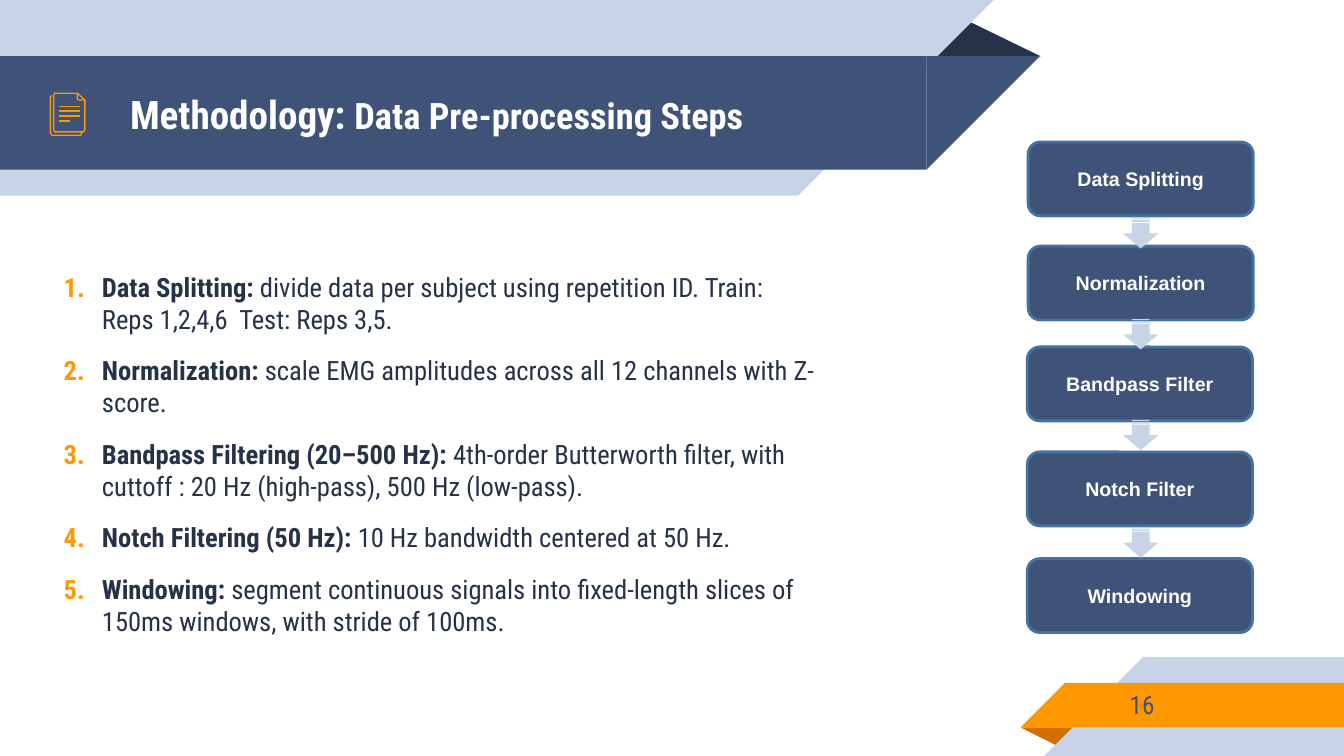
from lxml.etree import SubElement
from pptx import Presentation
from pptx.dml.color import RGBColor
from pptx.enum.shapes import MSO_CONNECTOR, MSO_SHAPE as Shape
from pptx.enum.text import MSO_ANCHOR as Anchor, PP_ALIGN as Align
from pptx.oxml.ns import qn
from pptx.util import Inches, Pt

COLUMNS, ROWS = 160, 90
COLORS = {
    "navy": "3F5378", "ink": "263248", "mist": "C7D3E6", "orange": "FF9800",
    "rust": "D26F00", "edge": "43739E", "white": "FFFFFF",
}


def cells(*counts):
    """Lengths of grid cells; 160 x 90 cells fill the slide."""
    return [Inches(count / 12) for count in counts]


class Deck:
    font = "Roboto Condensed"

    def __init__(self):
        self.deck = Presentation()
        self.deck.slide_width, self.deck.slide_height = cells(COLUMNS, ROWS)
        self.slide = self.deck.slides.add_slide(self.deck.slide_layouts[6])
        self.shapes = self.slide.shapes

    def color(self, name):
        return RGBColor.from_string(COLORS[name])

    def style(self, font, size, color, bold=None, name=None):
        font.name, font.size, font.bold = name or self.font, Pt(size), bold
        font.color.rgb = self.color(color)

    def shape(self, kind, frame, fill, turn=0, edge=None):
        shape = self.shapes.add_shape(kind, *cells(*frame))
        shape.shadow.inherit = False
        shape.rotation = turn
        shape.fill.solid()
        shape.fill.fore_color.rgb = self.color(fill)
        if edge:
            shape.line.color.rgb = self.color(edge)
            shape.line.width = Pt(2)
        else:
            shape.line.fill.background()
        return shape

    def band(self, left, top, width, height, fill, slant_left=False):
        """A bar whose slanted end is a square right triangle."""
        self.shape(Shape.RECTANGLE, (left, top, width, height), fill)
        tip = left - height if slant_left else left + width
        self.shape(Shape.RIGHT_TRIANGLE, (tip, top, height, height), fill,
                   turn=270 if slant_left else 90)

    def fold(self, frame, fill, turn=0):
        self.shape(Shape.ISOSCELES_TRIANGLE, frame, fill, turn).adjustments[0] = 0.324

    def text(self, frame, anchor=Anchor.MIDDLE):
        text_frame = self.shapes.add_textbox(*cells(*frame)).text_frame
        text_frame.word_wrap = True
        text_frame.vertical_anchor = anchor
        text_frame.margin_left = text_frame.margin_right = Inches(0.1)
        text_frame.margin_top = text_frame.margin_bottom = Inches(0.1)
        return text_frame

    def run(self, paragraph, words, size, color, bold=None):
        run = paragraph.add_run()
        run.text = words
        self.style(run.font, size, color, bold)

    def numbered(self, frame, items):
        text_frame = self.text(frame)
        for index, (term, detail) in enumerate(items):
            paragraph = text_frame.add_paragraph() if index else text_frame.paragraphs[0]
            paragraph.space_after = Pt(14)
            props = paragraph._p.get_or_add_pPr()
            props.set("marL", str(Inches(0.38)))
            props.set("indent", str(Inches(-0.38)))
            number_color = SubElement(props, qn("a:buClr"))
            SubElement(number_color, qn("a:srgbClr"), val=COLORS["orange"])
            SubElement(props, qn("a:buAutoNum"), type="arabicPeriod")
            self.run(paragraph, f"{term}: ", 19, "ink", True)
            self.run(paragraph, detail, 19, "ink", False)

    def step(self, frame, label):
        text_frame = self.shape(Shape.ROUNDED_RECTANGLE, frame, "navy", edge="edge").text_frame
        text_frame.vertical_anchor = Anchor.MIDDLE
        paragraph = text_frame.paragraphs[0]
        paragraph.text = label
        paragraph.alignment = Align.CENTER
        self.style(paragraph.font, 14, "white", True, "Arial")

    def pen(self, line):
        line.color.rgb = self.color("orange")
        line.width = Pt(0.96)

    def outline(self, points, close=False):
        start, *rest = [cells(*point) for point in points]
        builder = self.shapes.build_freeform(*start)
        builder.add_line_segments(rest, close=close)
        outline = builder.convert_to_shape()
        outline.shadow.inherit = False
        outline.fill.background()
        self.pen(outline.line)

    def rule(self, left, right, row):
        rule = self.shapes.add_connector(MSO_CONNECTOR.STRAIGHT, *cells(left, row, right, row))
        SubElement(rule._element.spPr, qn("a:effectLst"))
        self.pen(rule.line)


def main():
    page = Deck()

    # Header ribbon
    page.fold((110.2, 2.2, 13.7, 4.5), "ink")
    page.band(0, 0, 95, 23.3, "mist")
    page.band(0, 6.7, 110.3, 13.5, "navy")

    # Footer ribbon
    page.fold((121.5, 86.6, 6.8, 2.3), "rust", turn=180)
    page.band(136.1, 78.2, 23.9, 11.8, "mist", slant_left=True)
    page.band(126.8, 81.3, 33.2, 5.3, "orange", slant_left=True)

    # Title and page number
    title = page.text((14.3, 6.8, 96.1, 13.4)).paragraphs[0]
    page.run(title, "Methodology: ", 28, "white", True)
    page.run(title, "Data Pre-processing Steps", 26, "white", True)
    number = page.text((133.3, 81.1, 26, 5.5)).paragraphs[0]
    number.text = "16"
    page.style(number.font, 18, "navy")

    # Document icon: back page, front page, folded corner, lines of writing
    page.outline([(9.8, 15.7), (9.6, 16.1), (6.2, 16.1), (6, 15.8), (6, 11.5), (6.2, 11.4)])
    page.outline([(10.1, 11.9), (10.1, 15.5), (9.9, 15.7), (6.5, 15.7),
                  (6.4, 15.5), (6.4, 11.3), (6.5, 11.1), (9.2, 11.1)])
    page.outline([(9.2, 11.1), (10.1, 11.9), (9.4, 11.9), (9.2, 11.8)], close=True)
    for row, right in ((12.7, 9.5), (13.2, 9.5), (13.8, 9.5), (14.4, 8.3)):
        page.rule(7, right, row)

    # Explanation of the steps
    page.numbered((6.4, 31.2, 91.9, 45.6), [
        ("Data Splitting", "divide data per subject using repetition ID. "
                           "Train: Reps 1,2,4,6  Test: Reps 3,5."),
        ("Normalization", "scale EMG amplitudes across all 12 channels with Z-score."),
        ("Bandpass Filtering (20–500 Hz)", "4th-order Butterworth filter, with "
                                           "cuttoff : 20 Hz (high-pass), 500 Hz (low-pass)."),
        ("Notch Filtering (50 Hz)", "10 Hz bandwidth centered at 50 Hz."),
        ("Windowing", "segment continuous signals into fixed-length slices of 150ms windows, "
                      "with stride of 100ms."),
    ])

    # Flow chart: each step with the row of the arrow that leads to it
    flow = [
        ("Data Splitting", 122.4, 16.9, None),
        ("Normalization", 122.4, 29.3, 25.7),
        ("Bandpass Filter", 122.3, 41.3, 37.7),
        ("Notch Filter", 122.3, 53.8, 49.7),
        ("Windowing", 122.3, 66.5, 62.5),
    ]
    for label, left, top, arrow_top in flow:
        page.step((left, top, 26.8, 8.8), label)
        if arrow_top:
            page.shape(Shape.STRIPED_RIGHT_ARROW, (134, arrow_top, 3.6, 4.2), "mist", turn=90)

    page.deck.save("out.pptx")


if __name__ == "__main__":
    main()
